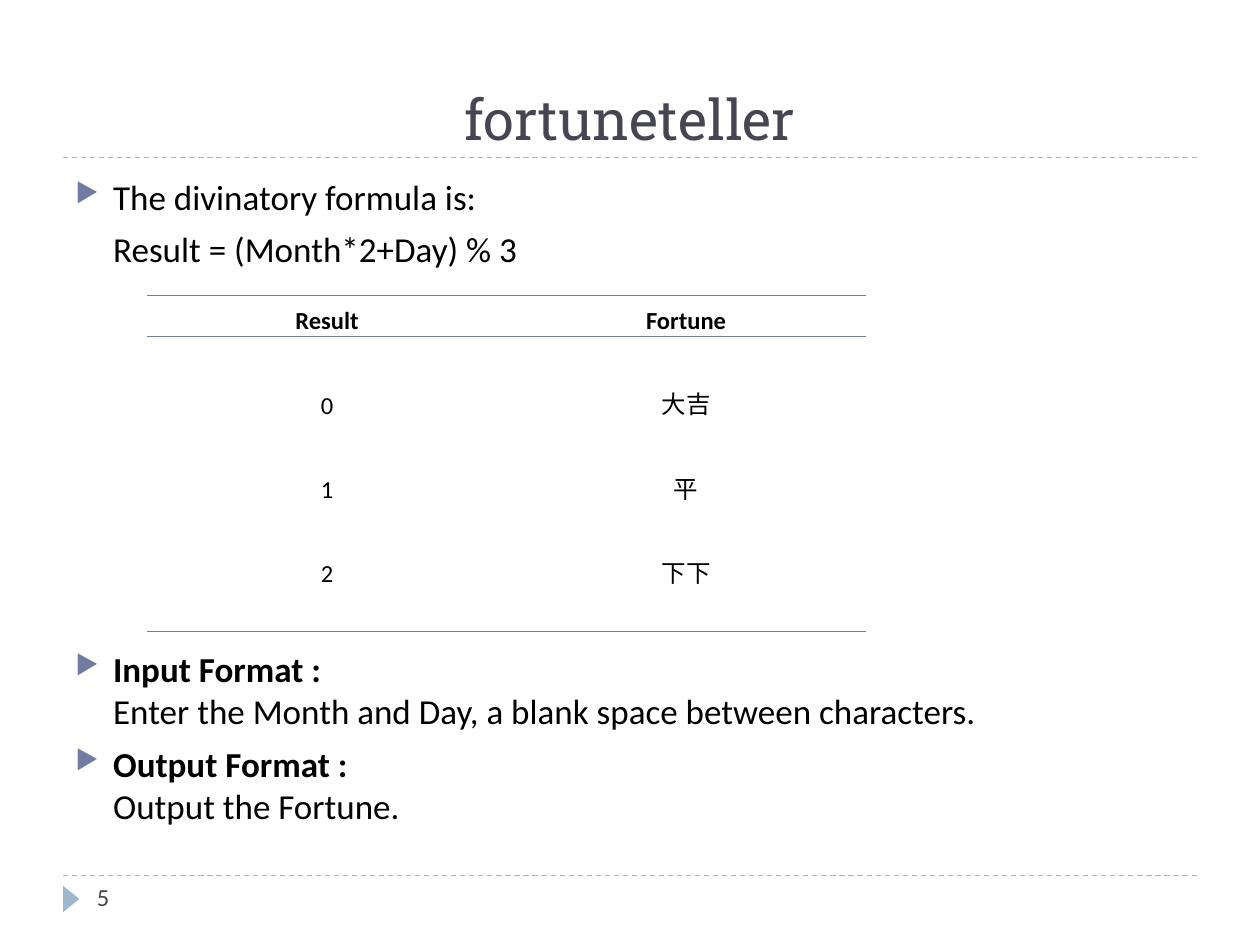
from lxml import etree
from pptx import Presentation
from pptx.dml.color import RGBColor
from pptx.enum.dml import MSO_LINE
from pptx.enum.shapes import MSO_CONNECTOR, MSO_SHAPE
from pptx.enum.text import MSO_ANCHOR, PP_ALIGN
from pptx.oxml.ns import qn
from pptx.util import Inches, Pt

STRAIGHT = MSO_CONNECTOR.STRAIGHT
TRIANGLE = MSO_SHAPE.ISOSCELES_TRIANGLE
DASH = MSO_LINE.DASH
TOP, BOTTOM = MSO_ANCHOR.TOP, MSO_ANCHOR.BOTTOM
LEFT, CENTER = PP_ALIGN.LEFT, PP_ALIGN.CENTER

# Content
TITLE = "fortuneteller"
PAGE_NUMBER = "5"
# (bulleted, space before in points, lines of (text, bold))
TABLE_GAP = 216
BODY = [
    (True, 6, [("The divinatory formula is:", False)]),
    (False, 6, [("Result = (Month*2+Day) % 3", False)]),
    (True, TABLE_GAP, [
        ("Input Format :", True),
        ("Enter the Month and Day, a blank space between characters.", False)]),
    (True, 6, [("Output Format :", True), ("Output the Fortune.", False)]),
]
FORTUNES = [("Result", "Fortune"), ("0", "大吉"), ("1", "平"), ("2", "下下")]

THEME = {
    "title_font": "Roboto Slab", "font": "Calibri", "bullet_font": "OpenSymbol",
    "heading": "464653", "text": "000000",
    "accent": "727CA3", "rule": "9FB8CD",
    "title_size": 32, "body_size": 20, "small_size": 14,
    "rule_width": 0.75, "border_width": 0.23,
}

# Layout in inches
WIDTH, HEIGHT = 10, 7.5
MARGIN = WIDTH * 0.05
CONTENT_WIDTH = WIDTH - 2 * MARGIN
TITLE_RULE, FOOTER_RULE = 1.25, 6.95
INDENT = 0.3
TABLE_LEFT, TABLE_TOP, COLUMN_WIDTH = 1.17, 2.34, 2.85
# (row height, space above the text in each column)
ROWS = [(0.33, (0.06, 0.06)), (0.87, (0.4, 0.35)),
        (0.67, (0.2, 0.15)), (0.8, (0.2, 0.15))]
# Row edges that carry a line: above and below the header, below the table
RULED_EDGES = (0, 1, len(ROWS))


def color(name):
    return RGBColor.from_string(THEME[name])


def add_span(para, text, size, ink="text", font="font", bold=False):
    span = para.add_run()
    span.text = text
    span.font.name = THEME[font]
    span.font.size = Pt(THEME[size])
    span.font.color.rgb = color(ink)
    span.font.bold = bold


def add_box(page, left, top, width, height, anchor=TOP):
    box = page.shapes.add_textbox(*map(Inches, (left, top, width, height)))
    box.text_frame.word_wrap = True
    box.text_frame.vertical_anchor = anchor
    return box.text_frame


def add_rule(page, left, top, width, ink, weight):
    rule = page.shapes.add_connector(
        STRAIGHT, *map(Inches, (left, top, left + width, top)))
    rule.line.color.rgb = color(ink)
    rule.line.width = Pt(THEME[weight])
    etree.SubElement(rule._element.spPr, qn("a:effectLst"))
    return rule


def add_bullet(para):
    props = para._p.get_or_add_pPr()
    props.set("indent", str(-Inches(INDENT)))
    tint = etree.SubElement(props, qn("a:buClr"))
    etree.SubElement(tint, qn("a:srgbClr"), val=THEME["accent"])
    etree.SubElement(props, qn("a:buSzPct"), val="76000")
    etree.SubElement(props, qn("a:buFont"), typeface=THEME["bullet_font"])
    etree.SubElement(props, qn("a:buChar"), char="▶")


def add_fortune_table(page):
    total = sum(height for height, _ in ROWS)
    columns = len(FORTUNES[0])
    table = page.shapes.add_table(
        len(ROWS), columns, Inches(TABLE_LEFT), Inches(TABLE_TOP),
        Inches(COLUMN_WIDTH * columns), Inches(total)).table
    table.horz_banding = False
    for column in table.columns:
        column.width = Inches(COLUMN_WIDTH)
    for index, (values, (height, spaces)) in enumerate(zip(FORTUNES, ROWS)):
        table.rows[index].height = Inches(height)
        for cell, value, space in zip(table.rows[index].cells, values, spaces):
            cell.fill.background()
            cell.margin_top, cell.margin_bottom = Inches(space), 0
            cell.vertical_anchor = TOP
            para = cell.text_frame.paragraphs[0]
            para.alignment = CENTER
            para.line_spacing = 1.13
            add_span(para, value, "small_size", bold=index == 0)

    # One hairline per column on each ruled edge
    for edge in RULED_EDGES:
        top = TABLE_TOP + sum(height for height, _ in ROWS[:edge])
        for column in range(columns):
            add_rule(page, TABLE_LEFT + column * COLUMN_WIDTH, top,
                     COLUMN_WIDTH, "accent", "border_width")


def add_body(page):
    frame = add_box(page, MARGIN, 1.34, CONTENT_WIDTH, 6.02)
    for index, (bulleted, space, lines) in enumerate(BODY):
        para = frame.add_paragraph() if index else frame.paragraphs[0]
        para.alignment = LEFT
        para.space_before = Pt(space)
        para._p.get_or_add_pPr().set("marL", str(Inches(INDENT)))
        if bulleted:
            add_bullet(para)
        for row, (text, bold) in enumerate(lines):
            if row:
                para.add_line_break()
            add_span(para, text, "body_size", bold=bold)


def main():
    deck = Presentation()
    deck.slide_width, deck.slide_height = Inches(WIDTH), Inches(HEIGHT)
    page = deck.slides.add_slide(deck.slide_layouts[6])

    # Dashed rules and footer marker
    for top in (FOOTER_RULE, TITLE_RULE):
        rule = add_rule(page, MARGIN, top, CONTENT_WIDTH, "rule", "rule_width")
        rule.line.dash_style = DASH
    marker = page.shapes.add_shape(
        TRIANGLE, *map(Inches, (0.46, 7.07, 0.21, 0.13)))
    marker.rotation = 90
    marker.shadow.inherit = False
    marker.fill.solid()
    marker.fill.fore_color.rgb = color("rule")
    marker.line.fill.background()

    # Title and page number
    title = add_box(page, MARGIN, 0.17, CONTENT_WIDTH, 1.08, BOTTOM).paragraphs[0]
    title.alignment = CENTER
    add_span(title, TITLE, "title_size", "heading", "title_font")
    number = add_box(page, 0.67, FOOTER_RULE, 2.17, 0.4).paragraphs[0]
    add_span(number, PAGE_NUMBER, "small_size", "heading")

    # Body text and the table set into its gap
    add_body(page)
    add_fortune_table(page)
    deck.save("out.pptx")


if __name__ == "__main__":
    main()
